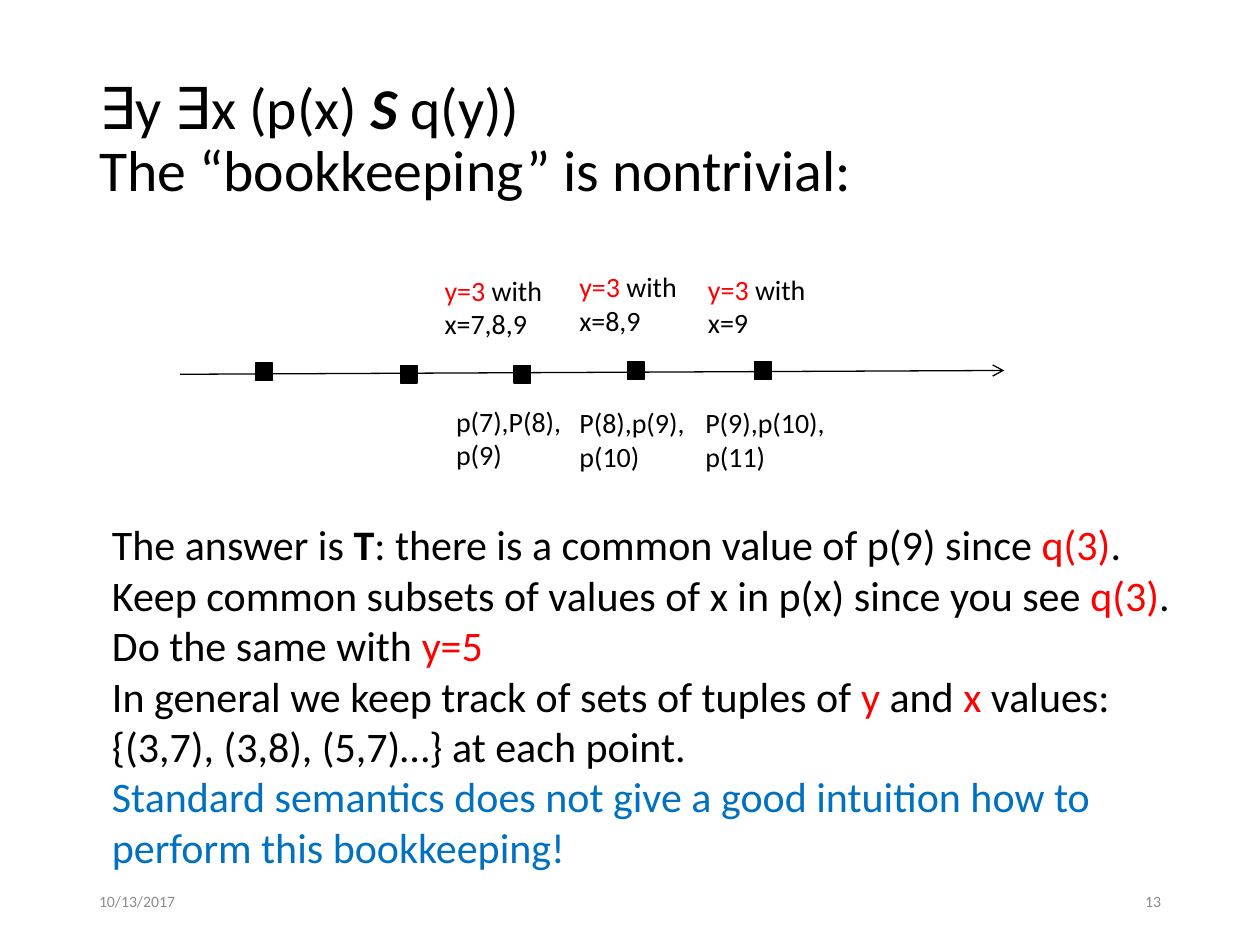
from pptx import Presentation
from pptx import util as u
from pptx.dml import color as dml
from pptx.enum import shapes, text
from pptx.oxml import ns
from lxml import etree

BLACK, RED, BLUE, GREY = "000000", "FF0000", "0070C0", "8C8C8C"
LEFT, RIGHT = text.PP_ALIGN.LEFT, text.PP_ALIGN.RIGHT
MID, TOP = text.MSO_ANCHOR.MIDDLE, text.MSO_ANCHOR.TOP


def rgb(code):
    """Turn a hex string into a colour."""
    return dml.RGBColor.from_string(code)


def place(shape, box):
    """Move a shape to a box given in points."""
    shape.left, shape.top, shape.width, shape.height = map(u.Pt, box)


def write(para, runs, size):
    """Add runs of (text, colour, style) to a paragraph; a newline breaks the line."""
    for words, ink, style in runs:
        for i, part in enumerate(words.split("\n")):
            if i:
                para.add_line_break()
            run = para.add_run()
            run.text = part
            font = run.font
            font.name, font.size = "Calibri", u.Pt(size)
            font.bold, font.italic = "b" in style, "i" in style
            font.color.rgb = rgb(ink)


def label(slide, box, paras, size, align=LEFT, anchor=TOP):
    """Add a wrapped text box, one list of runs for each paragraph."""
    x, y, w, h = map(u.Pt, box)
    frame = slide.shapes.add_textbox(x, y, w, h).text_frame
    frame.word_wrap, frame.vertical_anchor = True, anchor
    for i, runs in enumerate(paras):
        para = frame.add_paragraph() if i else frame.paragraphs[0]
        para.alignment = align
        write(para, runs, size)


def head(slide, box):
    """Fill the title placeholder with the formula and its remark."""
    title = slide.shapes.title
    place(title, box)
    frame = title.text_frame
    frame.auto_size, frame.vertical_anchor = text.MSO_AUTO_SIZE.NONE, MID
    para = frame.paragraphs[0]
    para.alignment, para.line_spacing = LEFT, 0.9
    write(para, [("∃y ∃x (p(x) ", BLACK, ""), ("S", BLACK, "bi"),
                 (" q(y))\nThe “bookkeeping” is nontrivial:", BLACK, "")], 33)


def axis(slide, box):
    """Draw the time arrow, slightly rising across its box."""
    x, y, w, h = box
    line = slide.shapes.add_connector(
        shapes.MSO_CONNECTOR.STRAIGHT, u.Pt(x), u.Pt(y + h), u.Pt(x + w), u.Pt(y))
    line.line.color.rgb, line.line.width = rgb(BLACK), u.Pt(0.75)
    etree.SubElement(line.line._get_or_add_ln(), ns.qn("a:tailEnd"), type="arrow")
    etree.SubElement(line._element.spPr, ns.qn("a:effectLst"))


def point(slide, x, y):
    """Mark one moment in time with a black square."""
    mark = slide.shapes.add_shape(
        shapes.MSO_SHAPE.RECTANGLE, u.Pt(x), u.Pt(y), u.Pt(9.4), u.Pt(10))
    mark.shadow.inherit = False
    mark.fill.solid()
    mark.fill.fore_color.rgb = mark.line.color.rgb = rgb(BLACK)
    mark.line.width = u.Pt(0.75)


def chain(slide, box):
    """Build the timeline: arrow, points, bindings above and facts below."""
    x, y, w, h = box
    axis(slide, (x, y + 61.2, w, 2.2))
    for dx, dy in ((43.2, 56.9), (126, 58.3), (190.8, 58.3), (255.6, 56.2), (328.3, 56.2)):
        point(slide, x + dx, y + dy)
    for dx, dy, vals in ((144, 2.2, "7,8,9"), (221, 0, "8,9"), (294.5, 1.4, "9")):
        label(slide, (x + dx, y + dy, 77, 46),
              [[("y=3", RED, ""), (f" with x={vals}", BLACK, "")]], 16)
    for dx, dy, wide, facts in ((150.5, 77, 75.6, "p(7),P(8),\np(9)"),
                                (221, 77.8, 78.5, "P(8),p(9),\np(10)"),
                                (293, 77.8, 95.8, "P(9),p(10),\np(11)")):
        label(slide, (x + dx, y + dy, wide, 46), [[(facts, BLACK, "")]], 16)


def notes(slide, box):
    """Write the explanation below the timeline."""
    label(slide, box, [
        [("The answer is ", BLACK, ""), ("T", BLACK, "b"),
         (": there is a common value of p(9) since ", BLACK, ""),
         ("q(3)", RED, ""), (".", BLACK, "")],
        [("Keep common subsets of values of x in p(x) since you see ", BLACK, ""),
         ("q(3)", RED, ""), (".", BLACK, "")],
        [("Do the same with ", BLACK, ""), ("y=5", RED, "")],
        [("In general we keep track of sets of tuples of ", BLACK, ""), ("y", RED, ""),
         (" and ", BLACK, ""), ("x", RED, ""),
         (" values: {(3,7), (3,8), (5,7)…} at each point.", BLACK, "")],
        [("Standard semantics does not give a good intuition how to "
          "perform this bookkeeping!", BLUE, "")],
    ], 24)


def foot(slide, box):
    """Put the date at the left and the page number at the right."""
    x, y, w, h = box
    for dx, words, align in ((0, "10/13/2017", LEFT), (w - 162, "13", RIGHT)):
        label(slide, (x + dx, y, 162, h), [[(words, GREY, "")]], 9, align, MID)


def main():
    """Build and save the slide."""
    deck = Presentation()
    deck.slide_width, deck.slide_height = u.Pt(720), u.Pt(540)
    slide = deck.slides.add_slide(deck.slide_layouts[5])
    head(slide, (49.5, 28.75, 621, 104.4))
    chain(slide, (103, 150.5, 470.9, 123.8))
    notes(slide, (56.9, 293, 622.8, 211))
    foot(slide, (49.5, 500.5, 621, 28.75))
    deck.save("out.pptx")


if __name__ == "__main__":
    main()
